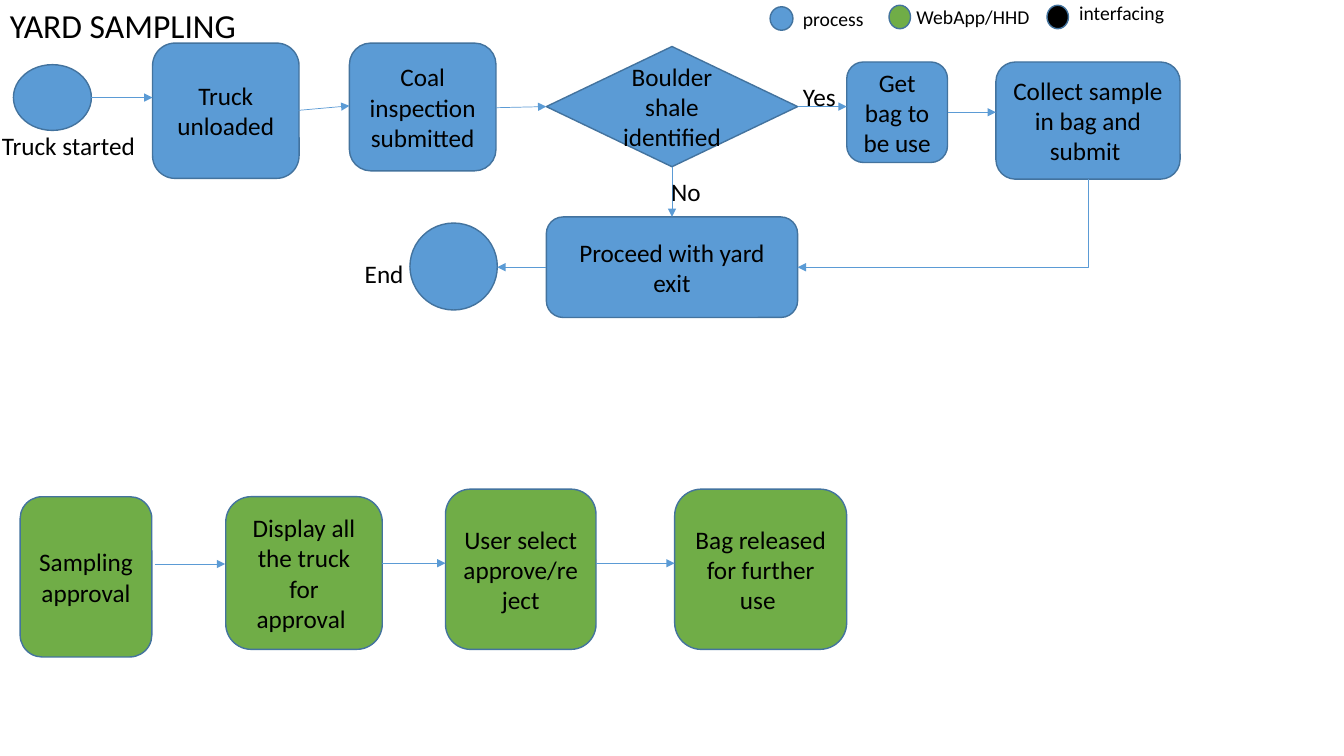
from lxml.etree import SubElement
from pptx import Presentation
from pptx.dml.color import RGBColor
from pptx.enum.shapes import MSO_CONNECTOR as LINK, MSO_SHAPE as SHAPE
from pptx.enum.text import MSO_ANCHOR, MSO_AUTO_SIZE, PP_ALIGN
from pptx.oxml.ns import qn
from pptx.util import Inches, Pt

COLORS = {"process": "5B9BD5", "webapp": "70AD47", "interfacing": "000000",
          "outline": "43739E", "arrow": "5B9BD5", "text": "000000"}

deck = Presentation()
deck.slide_width, deck.slide_height = Inches(13.33), Inches(7.5)
slide = deck.slides.add_slide(deck.slide_layouts[6])
# The grid has 100 columns and 100 rows: every length is a percentage of the slide.
COL, ROW = deck.slide_width / 100, deck.slide_height / 100


def place(left, top, width, height):
    """Turn grid columns and rows into slide lengths."""
    return int(left * COL), int(top * ROW), int(width * COL), int(height * ROW)


def write(frame, words, size, align=PP_ALIGN.LEFT):
    """Put one formatted paragraph into a text frame."""
    frame.text = words
    paragraph = frame.paragraphs[0]
    paragraph.alignment = align
    font = paragraph.runs[0].font
    font.name, font.size = "Calibri", Pt(size)
    font.color.rgb = RGBColor.from_string(COLORS["text"])


# Flow steps and legend dots: outline, kind, cell on the grid, wording
ROUND, OVAL = SHAPE.ROUNDED_RECTANGLE, SHAPE.OVAL
steps = [
    (OVAL, "process", (57.3, 0.9, 1.7, 3.1), ""),
    (OVAL, "webapp", (66.15, 0.7, 1.6, 3.1), ""),
    (OVAL, "interfacing", (77.9, 0.7, 1.6, 3.1), ""),
    (OVAL, "process", (1, 8.55, 5.8, 8.7), ""),
    (ROUND, "process", (11.35, 5.7, 10.9, 17.9), "Truck unloaded"),
    (ROUND, "process", (26, 5.7, 10.9, 16.9), "Coal inspection submitted"),
    (SHAPE.FLOWCHART_DECISION, "process", (40.65, 6.15, 18.7, 15.9),
     "Boulder shale identified"),
    (ROUND, "process", (63, 8.2, 7.5, 13.3), "Get bag to be use "),
    (ROUND, "process", (74.1, 8.2, 13.7, 15.5), "Collect sample in bag and submit "),
    (ROUND, "process", (40.65, 28.7, 18.7, 13.3), "Proceed with yard exit"),
    (OVAL, "process", (30.5, 29.5, 6.5, 11.5), ""),
    (ROUND, "webapp", (1.5, 65.7, 9.8, 21.2), "Sampling approval"),
    (ROUND, "webapp", (16.8, 65.7, 11.65, 20.2), "Display all the truck for approval "),
    (ROUND, "webapp", (33.15, 64.7, 11.2, 21.2), "User select approve/reject"),
    (ROUND, "webapp", (50.2, 64.7, 12.8, 21.2), "Bag released for further use "),
]
for outline, kind, cell, words in steps:
    step = slide.shapes.add_shape(outline, *place(*cell))
    step.shadow.inherit = False
    step.fill.solid()
    step.fill.fore_color.rgb = RGBColor.from_string(COLORS[kind])
    step.line.color.rgb = RGBColor.from_string(COLORS["outline"])
    step.line.width = Pt(1)
    if words:
        step.text_frame.vertical_anchor = MSO_ANCHOR.MIDDLE
        step.text_frame.word_wrap = True
        write(step.text_frame, words, 18, PP_ALIGN.CENTER)

# Arrows: start and end on the grid; the bent one goes down, then left
arrows = [
    ((6.8, 12.9), (11.35, 12.9)),
    ((22.2, 14.6), (26, 14)),
    ((36.9, 14.25), (40.65, 14.1)),
    ((59.35, 14.1), (63, 14.1)),
    ((70.5, 14.85), (74.1, 14.85)),
    ((50, 22.05), (50, 28.7)),
    ((80.95, 23.7), (59.35, 35.35)),
    ((40.65, 35.35), (37, 35.35)),
    ((11.5, 74.6), (16.75, 74.6)),
    ((28.45, 74.5), (33.15, 74.5)),
    ((44.35, 74.5), (50.2, 74.5)),
]
sample_to_exit = arrows[6]
for start, end in arrows:
    x1, y1, x2, y2 = place(*start, *end)
    bent = (start, end) == sample_to_exit
    if bent:
        # The box before its quarter turn shares the centre, with sides swapped.
        mid_x, mid_y = (x1 + x2) // 2, (y1 + y2) // 2
        half_x, half_y = (y2 - y1) // 2, (x1 - x2) // 2
        x1, y1, x2, y2 = mid_x - half_x, mid_y - half_y, mid_x + half_x, mid_y + half_y
    arrow = slide.shapes.add_connector(LINK.ELBOW if bent else LINK.STRAIGHT,
                                       x1, y1, x2, y2)
    arrow.line.color.rgb = RGBColor.from_string(COLORS["arrow"])
    arrow.line.width = Pt(0.5)
    properties = arrow._element.spPr
    if bent:
        properties.find(qn("a:xfrm")).set("rot", str(90 * 60000))
        properties.find(qn("a:prstGeom")).set("prst", "bentConnector2")
    SubElement(properties.find(qn("a:ln")), qn("a:tailEnd"), type="triangle")
    SubElement(properties, qn("a:effectLst"))

# Title, legend and flow labels: wording, size, cell on the grid, wrapping
labels = [
    ("YARD SAMPLING", 24, (0, 0, 31.4, 6.7), True),
    ("process", 14, (59, 0.2, 8, 4.5), True),
    ("WebApp/HHD", 14, (67.45, 0, 14.9, 4.5), True),
    ("interfacing", 14, (79.55, -0.5, 18.2, 4.5), True),
    ("Truck started", 18, (-0.6, 16.6, 12.1, 5.3), True),
    ("Yes ", 18, (59, 10.1, 6.2, 5.3), True),
    ("No", 18, (49.2, 22.7, 3.8, 5.3), False),
    ("End", 18, (26.4, 33.5, 4.4, 5.3), False),
]
for words, size, cell, wraps in labels:
    label = slide.shapes.add_textbox(*place(*cell)).text_frame
    label.word_wrap = wraps
    label.auto_size = MSO_AUTO_SIZE.SHAPE_TO_FIT_TEXT
    write(label, words, size)

deck.save("out.pptx")
